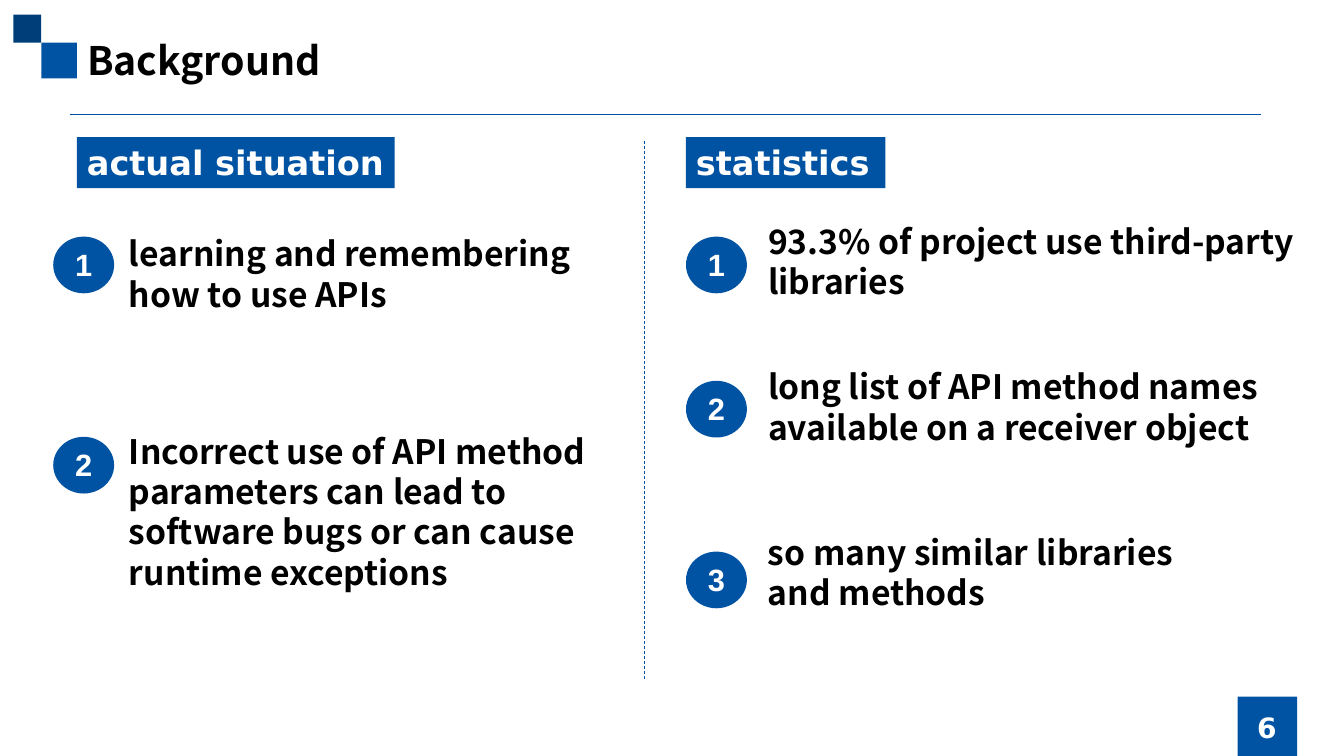
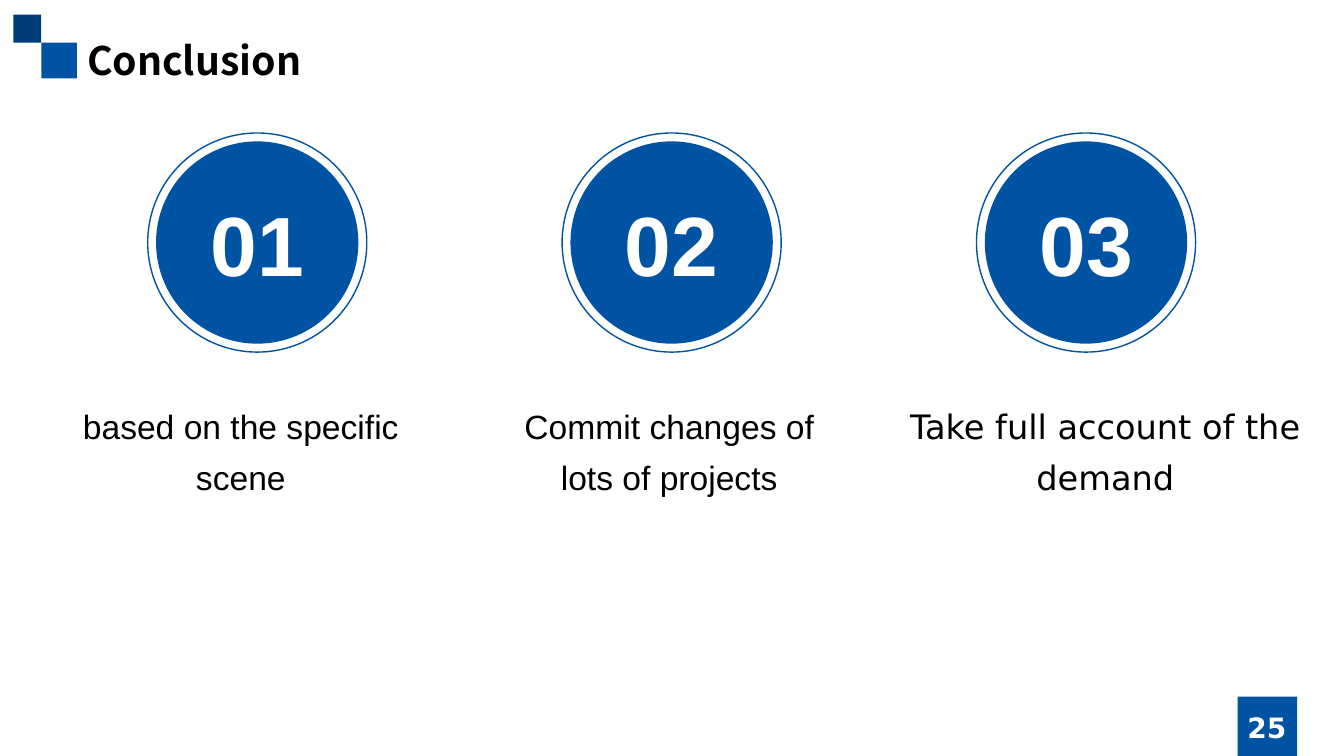
import pptx
import pptx.util
import pptx.dml.color
import pptx.enum.dml
import pptx.enum.shapes
import pptx.enum.text
import pptx.oxml.ns
import lxml.etree

Pt = pptx.util.Pt
SHAPE = pptx.enum.shapes.MSO_SHAPE
ALIGN = pptx.enum.text.PP_ALIGN
ANCHOR = pptx.enum.text.MSO_ANCHOR

COLORS = {"blue": "0053A3", "navy": "003E7A", "white": "FFFFFF", "black": "000000"}
HEADING_FONT, PLAIN_FONT, LABEL_FONT = "Noto Sans CJK SC", "Arial", "DejaVu Sans"


def rgb(name):
    return pptx.dml.color.RGBColor.from_string(COLORS[name])


def points(*lengths):
    return [Pt(length) for length in lengths]


# Shared building blocks
def write(shape, text, size, font, color="black", bold=True, align=ALIGN.LEFT,
          anchor=ANCHOR.TOP, spacing=None, wrap=True):
    frame = shape.text_frame
    frame.auto_size = pptx.enum.text.MSO_AUTO_SIZE.NONE
    frame.word_wrap = wrap
    frame.vertical_anchor = anchor
    paragraph = frame.paragraphs[0]
    paragraph.alignment = align
    if spacing:
        paragraph.line_spacing = spacing
    run = paragraph.add_run()
    run.text = text
    run.font.size, run.font.name, run.font.bold = Pt(size), font, bold
    run.font.color.rgb = rgb(color)


def add_solid(parent, kind, box, fill="blue"):
    solid = parent.shapes.add_shape(kind, *points(*box))
    solid.shadow.inherit = False
    solid.fill.solid()
    solid.fill.fore_color.rgb = rgb(fill)
    solid.line.fill.background()
    return solid


def add_text(slide, box, text, size, font, **style):
    write(slide.shapes.add_textbox(*points(*box)), text, size, font, **style)


def add_rule(slide, x1, y1, x2, y2, dashed=False):
    rule = slide.shapes.add_connector(
        pptx.enum.shapes.MSO_CONNECTOR.STRAIGHT, *points(x1, y1, x2, y2))
    rule.line.color.rgb = rgb("blue")
    rule.line.width = Pt(0.5)
    if dashed:
        rule.line.dash_style = pptx.enum.dml.MSO_LINE.DASH
    lxml.etree.SubElement(rule.element.spPr, pptx.oxml.ns.qn("a:effectLst"))


# Shared layout: title place, corner squares and page number square
def dress_layout(layout, slide):
    for placeholder in list(layout.placeholders):
        if placeholder.placeholder_format.idx == 0:
            (placeholder.left, placeholder.top,
             placeholder.width, placeholder.height) = points(55, 22, 850, 41)
        else:
            placeholder.element.getparent().remove(placeholder.element)
    squares = [(29.5, 30.5, 25.5, "blue"), (9.5, 10.5, 20, "navy"),
               (884, 497.5, 42.5, "blue")]
    for position, (left, top, side, fill) in enumerate(squares, start=2):
        square = add_solid(slide, SHAPE.RECTANGLE, (left, top, side, side), fill)
        layout.shapes.element.insert(position, square.element)


def start_slide(deck, layout, title, page):
    slide = deck.slides.add_slide(layout)
    if len(deck.slides) == 1:
        dress_layout(layout, slide)
    write(slide.shapes.title, title, 28, HEADING_FONT, spacing=Pt(33.6))
    add_text(slide, (850, 505, 110, 28.5), page, 20, LABEL_FONT, color="white",
             align=ALIGN.CENTER, anchor=ANCHOR.MIDDLE)
    return slide


# Column with a heading tag and numbered points
def add_column(slide, left, top, tag, tag_indent, tag_width, text_indent, items):
    heading = add_solid(slide, SHAPE.RECTANGLE,
                        (left + tag_indent, top, tag_width, 36.5))
    write(heading, tag, 24, LABEL_FONT, color="white", wrap=False)
    for number, (disc_drop, text_drop, width, height, text) in enumerate(items, 1):
        disc = add_solid(slide, SHAPE.OVAL, (left, top + disc_drop, 43.5, 40.5))
        disc.text_frame.margin_top = Pt(0.7)
        write(disc, str(number), 22, PLAIN_FONT, color="white", align=ALIGN.CENTER)
        add_text(slide, (left + text_indent, top + text_drop, width, height),
                 text, 24, HEADING_FONT, spacing=Pt(28.8))


def build_background(deck, layout):
    slide = start_slide(deck, layout, "Background", "6")
    add_rule(slide, 50, 82, 901, 82)
    add_rule(slide, 460, 101, 460, 485, dashed=True)
    add_column(slide, 38, 98, "actual situation", 17, 227, 47, [
        (71, 65, 359, 65.5, "learning and remembering how to use APIs"),
        (214, 206, 359, 124, "Incorrect use of API method parameters can lead to "
                             "software bugs or can cause runtime exceptions"),
    ])
    add_column(slide, 490, 98, "statistics", 0, 142.5, 51.5, [
        (71, 56, 402.5, 65.5, "93.3% of project use third-party libraries"),
        (174, 160, 402.5, 65.5,
         "long list of API method names available on a receiver object"),
        (296, 278.5, 344, 65.5, "so many similar libraries and methods"),
    ])


# Numbered medallion: filled disc inside a thin ring
def add_medallion(slide, left, top, size, number):
    gap = 6
    medallion = slide.shapes.add_group_shape()
    disc_size = size - 2 * gap
    disc = add_solid(medallion, SHAPE.OVAL,
                     (left + gap, top + gap, disc_size, disc_size))
    write(disc, f"{number:02d}", 60, PLAIN_FONT, color="white",
          align=ALIGN.CENTER, anchor=ANCHOR.MIDDLE)
    ring = add_solid(medallion, SHAPE.OVAL, (left, top, size, size))
    ring.fill.background()
    ring.line.color.rgb = rgb("blue")
    ring.line.width = Pt(1)


def build_conclusion(deck, layout):
    slide = start_slide(deck, layout, "Conclusion", "25")
    conclusions = [
        (50, 244, PLAIN_FONT, "based on the specific scene"),
        (354, 248, PLAIN_FONT, "Commit changes of lots of projects"),
        (642, 295, LABEL_FONT, "Take full account of the demand"),
    ]
    for index, (left, width, font, text) in enumerate(conclusions):
        add_medallion(slide, 105.5 + 296 * index, 95, 156.5, index + 1)
        add_text(slide, (left, 279.5, width, 80), text, 24, font, bold=False,
                 align=ALIGN.CENTER, spacing=1.25)


def main():
    deck = pptx.Presentation()
    deck.slide_width, deck.slide_height = points(960, 540)
    title_only = deck.slide_layouts[5]
    build_background(deck, title_only)
    build_conclusion(deck, title_only)
    deck.save("out.pptx")


if __name__ == "__main__":
    main()
